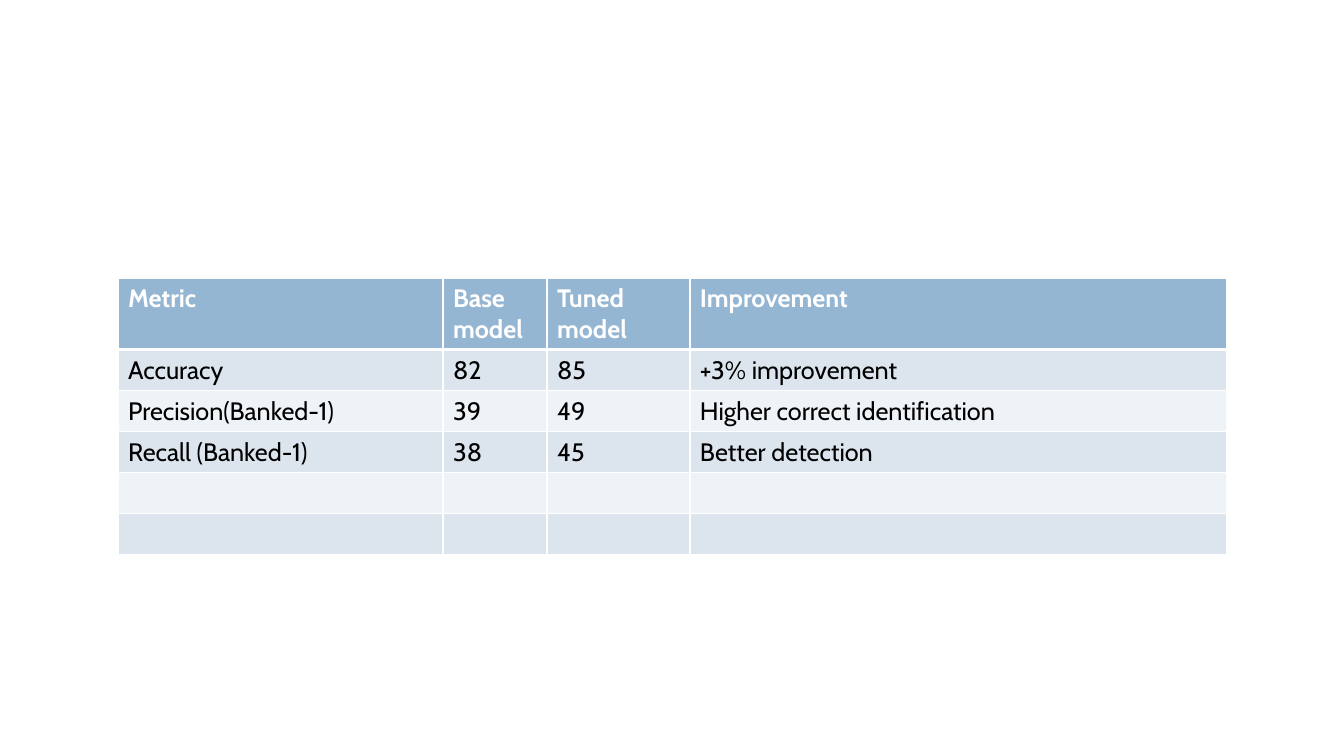
from lxml import etree
from pptx import Presentation
from pptx import util as u
from pptx.dml.color import RGBColor
from pptx.enum import shapes
from pptx.oxml import ns

PX = 914400 / 100.8
WHITE = RGBColor(0xFF, 0xFF, 0xFF)
BLACK = RGBColor(0x00, 0x00, 0x00)
HEADER = RGBColor(0x94, 0xB6, 0xD2)
BAND_DARK = RGBColor(0xDC, 0xE5, 0xEE)
BAND_LIGHT = RGBColor(0xEE, 0xF3, 0xF7)

COLUMNS = [325, 104, 143, 537]
HEADER_HEIGHT, ROW_HEIGHT = 70, 41
METRICS = [
    ("Metric", "Base model", "Tuned model", "Improvement"),
    ("Accuracy", "82", "85", "+3% improvement"),
    ("Precision(Banked-1)", "39", "49", "Higher correct identification"),
    ("Recall (Banked-1)", "38", "45", "Better detection"),
    ("", "", "", ""),
    ("", "", "", ""),
]


def px(n):
    """Turn pixels into EMU."""
    return u.Emu(round(n * PX))


def write(tf, text, size=18, font="Cabin", color=BLACK, bold=False):
    """Put one formatted run into a text frame."""
    r = tf.paragraphs[0].add_run()
    r.text = text
    r.font.size = u.Pt(size)
    r.font.name = font
    r.font.color.rgb = color
    r.font.bold = bold


def set_borders(cell, color=WHITE, **widths):
    """Draw the cell's four borders, 1 pt wide unless a side is given."""
    tc_pr = cell._tc.get_or_add_tcPr()
    for i, side in enumerate("LRTB"):
        ln = etree.Element(ns.qn(f"a:ln{side}"), w=str(u.Pt(widths.get(side, 1))))
        fill = etree.SubElement(ln, ns.qn("a:solidFill"))
        etree.SubElement(fill, ns.qn("a:srgbClr"), val=str(color))
        tc_pr.insert(i, ln)


def add_corner_ring(s, x, y, size):
    """Place the white ring of the slide's lower right corner."""
    sp = s.shapes.add_shape(shapes.MSO_SHAPE.OVAL, px(x), px(y), px(size), px(size))
    sp.shadow.inherit = False
    sp.fill.background()
    sp.line.color.rgb = WHITE
    sp.line.width = u.Pt(1)


def add_metrics_table(s, x, y, rows):
    """Place the banded metrics table with its top left corner at x, y."""
    heights = [HEADER_HEIGHT] + [ROW_HEIGHT] * (len(rows) - 1)
    table = s.shapes.add_table(len(rows), len(COLUMNS), px(x), px(y),
                               px(sum(COLUMNS)), px(sum(heights))).table
    for column, width in zip(table.columns, COLUMNS):
        column.width = px(width)
    for i, (row, height) in enumerate(zip(table.rows, heights)):
        row.height = px(height)
        is_header = i == 0
        band = HEADER if is_header else BAND_DARK if i % 2 else BAND_LIGHT
        for cell, text in zip(row.cells, rows[i]):
            cell.fill.solid()
            cell.fill.fore_color.rgb = band
            set_borders(cell, T=3 if i == 1 else 1, B=3 if is_header else 1)
            if text:
                write(cell.text_frame, text, bold=is_header,
                      color=WHITE if is_header else BLACK)


def main():
    """Build the slide and save it."""
    prs = Presentation()
    prs.slide_width, prs.slide_height = px(1344), px(756)
    s = prs.slides.add_slide(prs.slide_layouts[6])
    add_corner_ring(s, 1260, 689, 44)
    add_metrics_table(s, 118, 278, METRICS)
    prs.save("out.pptx")


if __name__ == "__main__":
    main()
